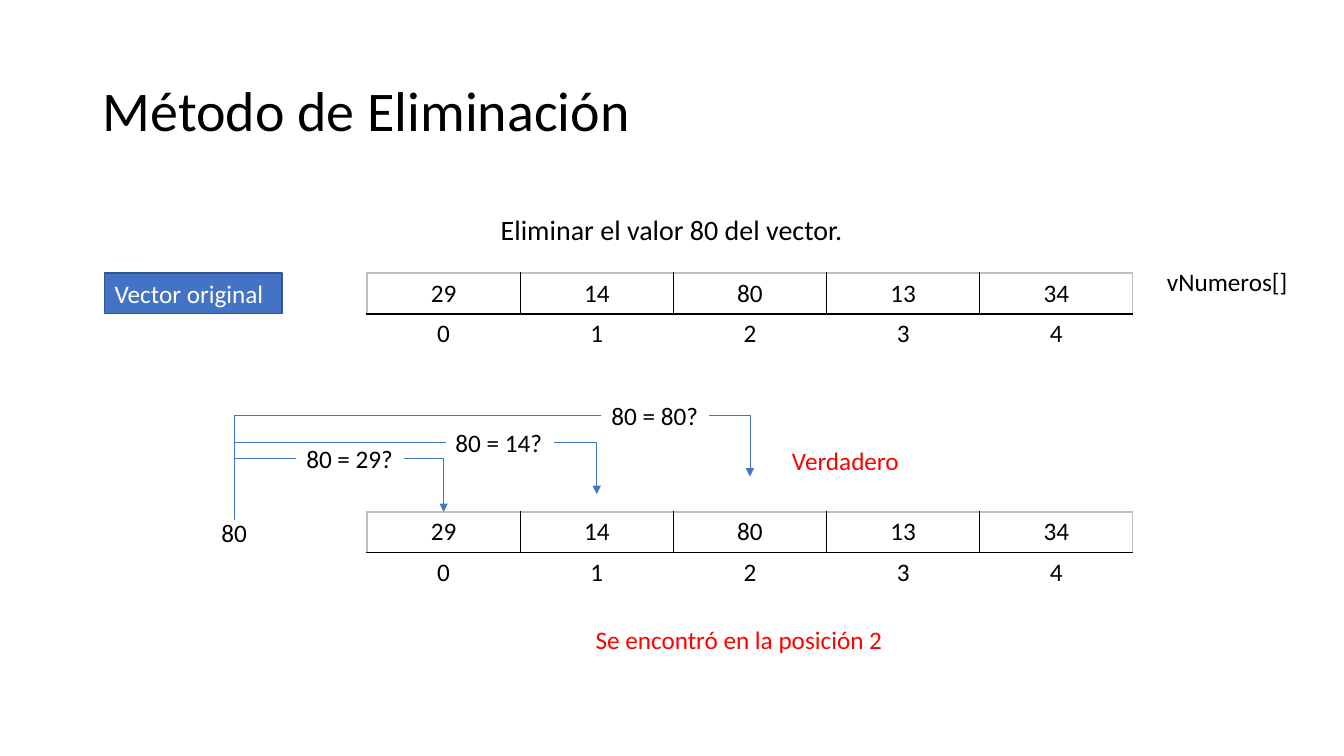
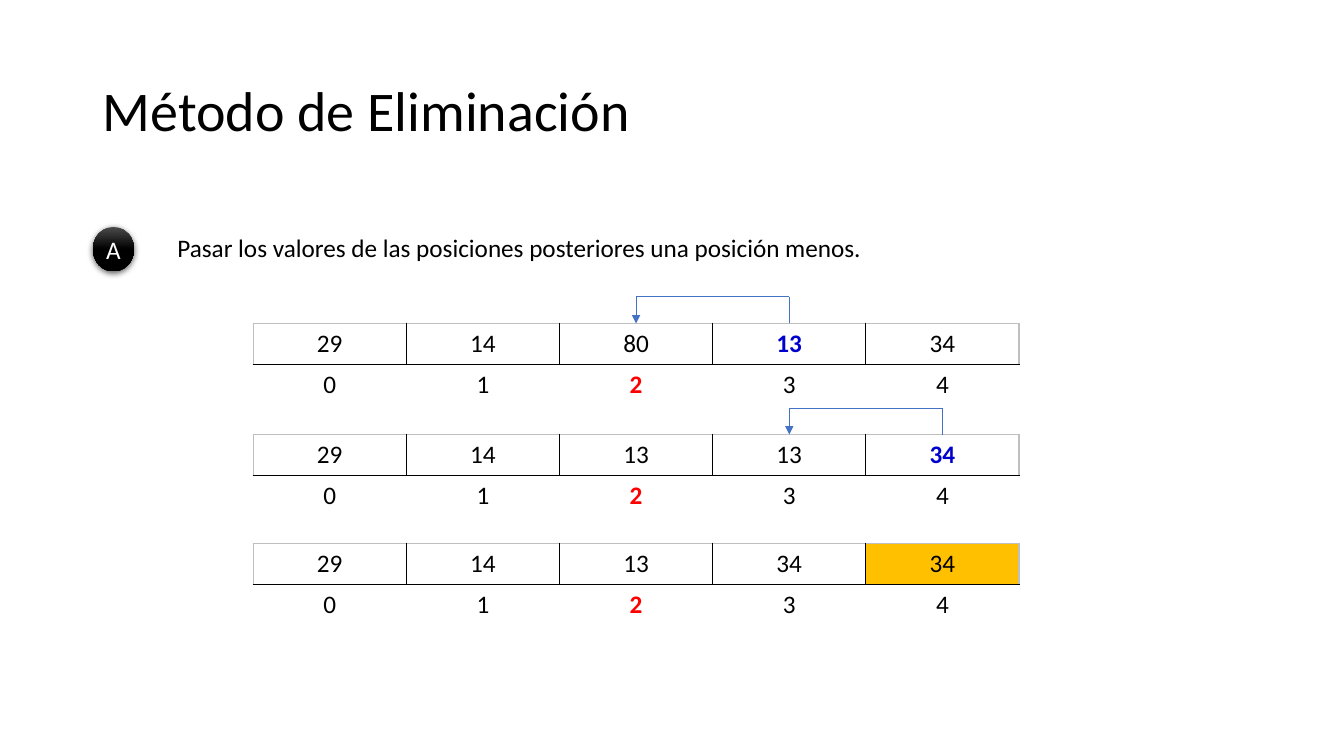
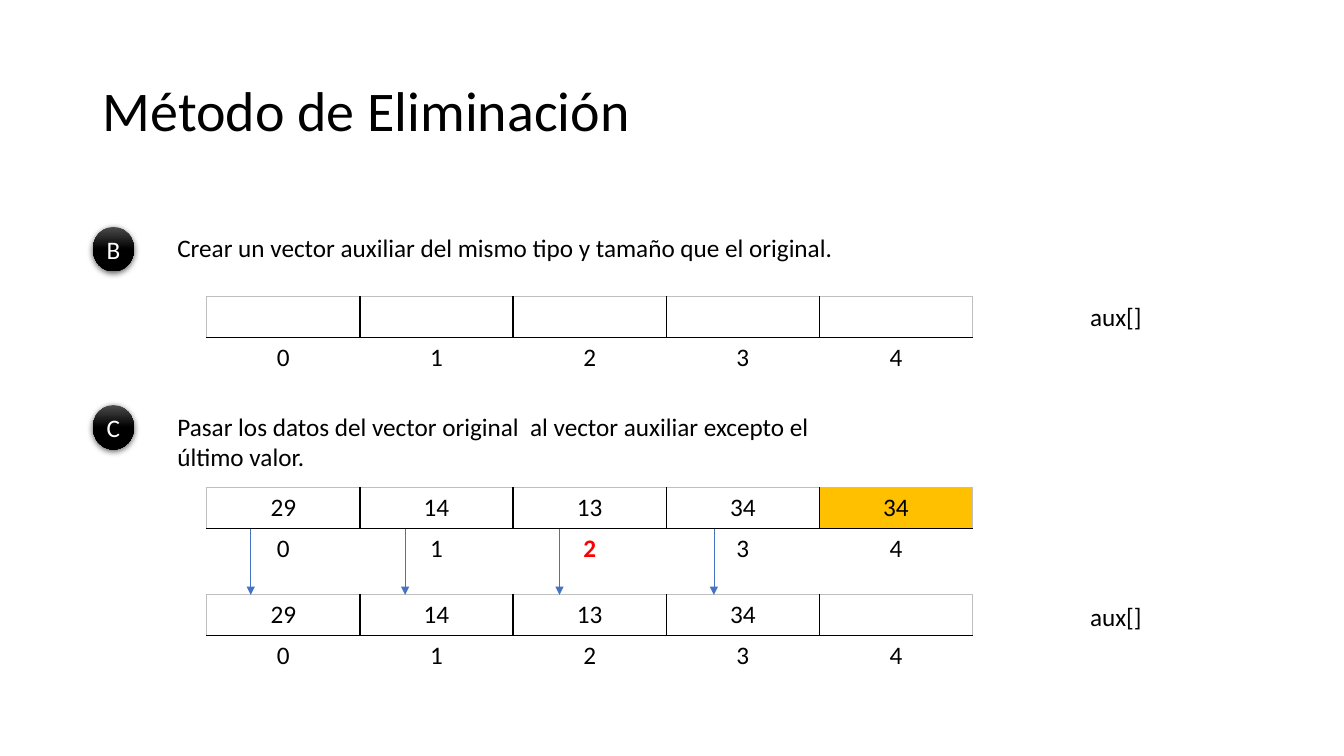
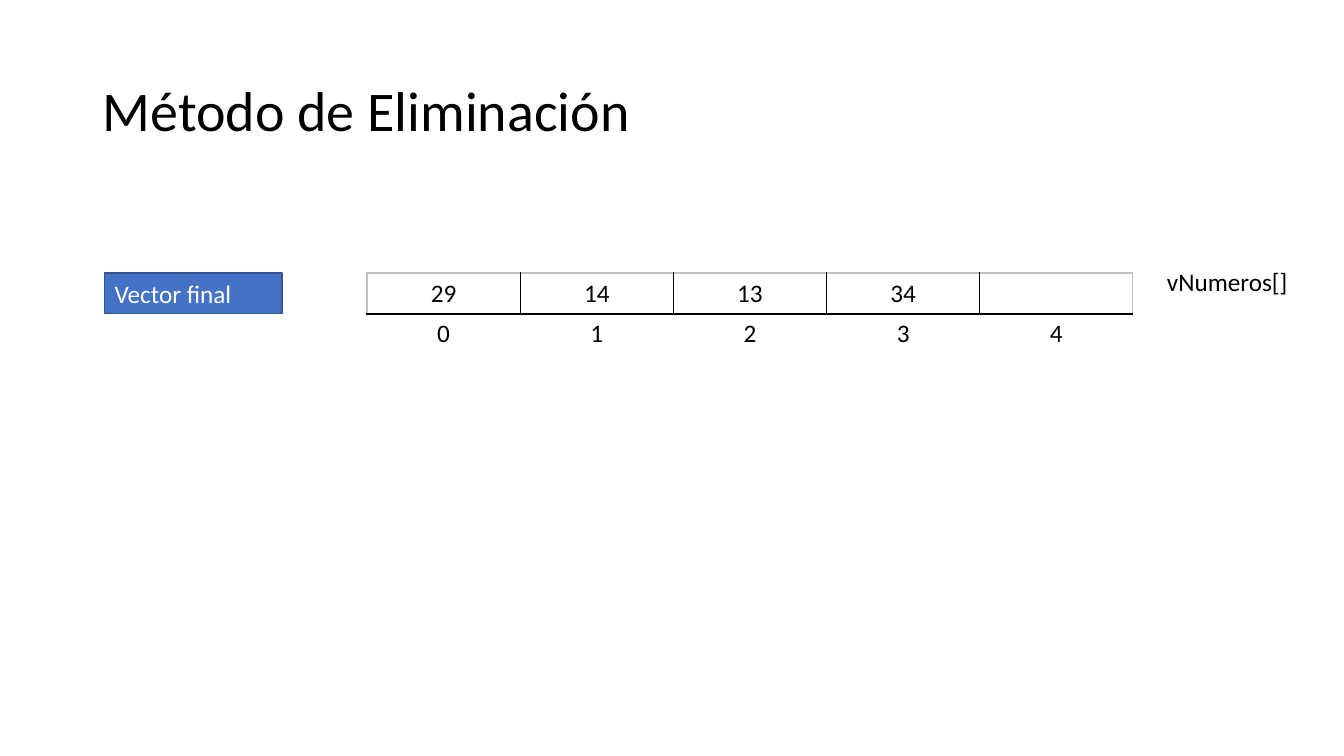
from lxml import etree
from pptx import Presentation
from pptx.dml.color import RGBColor
from pptx.enum import shapes, text
from pptx.oxml import ns
from pptx.util import Cm, Pt

BLACK = RGBColor(0x00, 0x00, 0x00)
WHITE = RGBColor(0xFF, 0xFF, 0xFF)
GREY = RGBColor(0xBF, 0xBF, 0xBF)
SMOKE = RGBColor(0x4B, 0x4B, 0x4B)
BLUE = RGBColor(0x44, 0x72, 0xC4)
NAVY = RGBColor(0x32, 0x54, 0x91)
INK = RGBColor(0x00, 0x00, 0xCC)
RED = RGBColor(0xFF, 0x00, 0x00)
GOLD = RGBColor(0xFF, 0xC0, 0x00)
FONT = "Calibri"

COL, ROW, SIZE = 3.86, 1.03, 5
LINE_H = 1.02
ALIGN, ANCHOR = text.PP_ALIGN, text.MSO_ANCHOR


def write(frame, words, size=18, color=BLACK, bold=False,
          align=ALIGN.LEFT, anchor=ANCHOR.TOP):
    frame.vertical_anchor = anchor
    par = frame.paragraphs[0]
    par.alignment = align
    run = par.add_run()
    run.text = words
    font = run.font
    font.name, font.size, font.bold = FONT, Pt(size), bold
    font.color.rgb = color
    return par


def label(parts, words, x, y, w, h=LINE_H, wrap=False, **style):
    box = parts.add_textbox(Cm(x), Cm(y), Cm(w), Cm(h))
    box.text_frame.word_wrap = wrap
    box.text_frame.auto_size = text.MSO_AUTO_SIZE.SHAPE_TO_FIT_TEXT
    write(box.text_frame, words, **style)


def wire(parts, start, end, bent=False, arrow=False):
    """Thin connector; a bent one runs across first, then up or down."""
    kind = shapes.MSO_CONNECTOR.ELBOW if bent else shapes.MSO_CONNECTOR.STRAIGHT
    link = parts.add_connector(kind, *map(Cm, start + end))
    link.line.color.rgb = BLUE
    link.line.width = Pt(0.5)
    props = link._element.spPr
    if bent:
        props.find(ns.qn("a:prstGeom")).set("prst", "bentConnector2")
    if arrow:
        etree.SubElement(link.line._get_or_add_ln(), ns.qn("a:tailEnd"), type="triangle")
    etree.SubElement(props, ns.qn("a:effectLst"))


def edge(cell, **colors):
    """Set the borders L, R, T and B; a side without a colour gets none."""
    props = cell._tc.get_or_add_tcPr()
    for spot, side in enumerate("LRTB"):
        line = etree.Element(ns.qn("a:ln" + side), w=str(Pt(1)))
        color = colors.get(side)
        if color is None:
            etree.SubElement(line, ns.qn("a:noFill"))
        else:
            fill = etree.SubElement(line, ns.qn("a:solidFill"))
            etree.SubElement(fill, ns.qn("a:srgbClr"), val=str(color))
        props.insert(spot, line)


def vector(slide, x, y, values, blue=None, gold=None, red=None):
    """Row of values over its indexes; blue, gold and red name columns."""
    grid = slide.shapes.add_table(2, SIZE, Cm(x), Cm(y), Cm(COL * SIZE), Cm(ROW * 2)).table
    grid.first_row = grid.horz_banding = False
    for row in grid.rows:
        row.height = Cm(ROW)
    for i, value in enumerate(values):
        grid.columns[i].width = Cm(COL)
        top, low = grid.cell(0, i), grid.cell(1, i)
        for cell in (top, low):
            cell.fill.background()
        if i == gold:
            top.fill.solid()
            top.fill.fore_color.rgb = GOLD
        edge(top, L=BLACK if i else GREY, R=BLACK if i < SIZE - 1 else GREY,
             T=GREY, B=BLACK)
        edge(low, T=BLACK)
        if value:
            write(top.text_frame, value, color=INK if i == blue else BLACK,
                  bold=i == blue, align=ALIGN.CENTER)
        write(low.text_frame, str(i), color=RED if i == red else BLACK,
              bold=i == red, align=ALIGN.CENTER)


def middle(x, col):
    return x + COL * (col + 0.5)


def tag(slide, words, x, y):
    box = slide.shapes.add_shape(shapes.MSO_SHAPE.RECTANGLE, Cm(x), Cm(y), Cm(4.47), Cm(LINE_H))
    box.shadow.inherit = False
    box.fill.solid()
    box.fill.fore_color.rgb = BLUE
    box.line.color.rgb = NAVY
    box.line.width = Pt(1)
    write(box.text_frame, words, color=WHITE)


def step(slide, letter, words, y, x=2.34):
    """Black ball with a letter, and the sentence beside it."""
    ball = slide.shapes.add_shape(shapes.MSO_SHAPE.OVAL, Cm(x), Cm(y), Cm(1.04), Cm(1.12))
    ball.fill.gradient()
    ball.fill.gradient_angle = 270
    for stop, color, place in zip(ball.fill.gradient_stops, (SMOKE, BLACK), (0, 0.5)):
        stop.color.rgb, stop.position = color, place
    ball.line.fill.background()
    ball.shadow.inherit = False
    glow = etree.SubElement(
        ball._element.spPr.find(ns.qn("a:effectLst")), ns.qn("a:outerShdw"),
        blurRad=str(Pt(4.5)), dist=str(Pt(1.5)), dir="5400000", rotWithShape="0")
    tint = etree.SubElement(glow, ns.qn("a:srgbClr"), val=str(BLACK))
    etree.SubElement(tint, ns.qn("a:alpha"), val="63000")
    ball.text_frame.word_wrap = False
    write(ball.text_frame, letter, color=WHITE, align=ALIGN.CENTER, anchor=ANCHOR.MIDDLE)
    label(slide.shapes, words, x + 1.88, y + 0.02, 18)


def test(slide, words, x, y, start, end):
    """Question with a line from the sought value and an arrow to a cell."""
    parts = slide.shapes.add_group_shape().shapes
    wide, mid = 2.72, y + LINE_H / 2
    label(parts, words, x, y, wide)
    wire(parts, (x, mid), (start, mid + 1.55), bent=True)
    wire(parts, (x + wide, mid), end, bent=True, arrow=True)


def hop(slide, x, y, col):
    """Arrow over a vector from a column to the one before it."""
    parts = slide.shapes.add_group_shape().shapes
    right, left, top = middle(x, col), middle(x, col - 1), y - 0.67
    wire(parts, (right, y), (right, top))
    wire(parts, (right, top), (left, top))
    wire(parts, (left, top), (left, y), arrow=True)


def page(deck):
    slide = deck.slides.add_slide(deck.slide_layouts[5])
    title = slide.shapes.title
    title.left, title.top, title.width, title.height = map(Cm, (2.34, 1.02, 29.21, 3.68))
    par = write(title.text_frame, "Método de Eliminación", size=40, anchor=ANCHOR.MIDDLE)
    par.line_spacing = 0.9
    return slide


def named(slide, words, values):
    """Tagged vector with its variable name, at the top of a slide."""
    x, y = 9.25, 6.88
    tag(slide, words, 2.64, y)
    vector(slide, x, y, values)
    label(slide.shapes, "vNumeros[]", x + 19.91, y - 0.3, 3.58)


def search(deck):
    slide = page(deck)
    parts = slide.shapes
    values = ("29", "14", "80", "13", "34")
    x, y = 9.25, 12.9
    label(parts, "Eliminar el valor 80 del vector.", 12.37, 5.23, 9.73, 1.12, True, size=20)
    named(slide, "Vector original", values)
    label(parts, "80", 5.33, y, 1.17)
    vector(slide, x, y, values)
    tests = ((7.47, 11.05, 12.9), (11.23, 10.64, 12.45), (15.16, 9.96, 12.01))
    for i, (left, top, tip) in enumerate(tests):
        test(slide, f"80 = {values[i]}?", left, top, 5.92, (middle(x, i), tip))
    label(parts, "Verdadero", 19.71, 11.1, 5.99, wrap=True, color=RED)
    label(parts, "Se encontró en la posición 2", 14.76, 15.6, 7.95, wrap=True, color=RED)


def shift(deck):
    slide = page(deck)
    x = 6.38
    step(slide, "A", "Pasar los valores de las posiciones posteriores una posición menos.", 5.72)
    vector(slide, x, 8.15, ("29", "14", "80", "13", "34"), blue=3, red=2)
    hop(slide, x, 8.15, 3)
    vector(slide, x, 10.95, ("29", "14", "13", "13", "34"), blue=4, red=2)
    hop(slide, x, 10.95, 4)
    vector(slide, x, 13.69, ("29", "14", "13", "34", "34"), gold=4, red=2)


def transfer(deck):
    slide = page(deck)
    x, first, old, new = 5.21, 7.47, 12.29, 14.99
    step(slide, "B", "Crear un vector auxiliar del mismo tipo y tamaño que el original.", 5.72)
    vector(slide, x, first, ("",) * SIZE)
    step(slide, "C", "Pasar los datos del vector original  al vector auxiliar "
         "excepto el último valor.", 10.21)
    vector(slide, x, old, ("29", "14", "13", "34", "34"), gold=4, red=2)
    vector(slide, x, new, ("29", "14", "13", "34", ""))
    for i in range(SIZE - 1):
        at = x + 1.11 + 3.89 * i
        wire(slide.shapes, (at, old + ROW), (at, new), arrow=True)
    for y in (first, new + 0.05):
        label(slide.shapes, "aux[]", 27.22, y, 1.83)


def result(deck):
    named(page(deck), "Vector final", ("29", "14", "13", "34", ""))


def main():
    deck = Presentation()
    deck.slide_width, deck.slide_height = Cm(33.87), Cm(19.05)
    for build in (search, shift, transfer, result):
        build(deck)
    deck.save("out.pptx")


if __name__ == "__main__":
    main()
